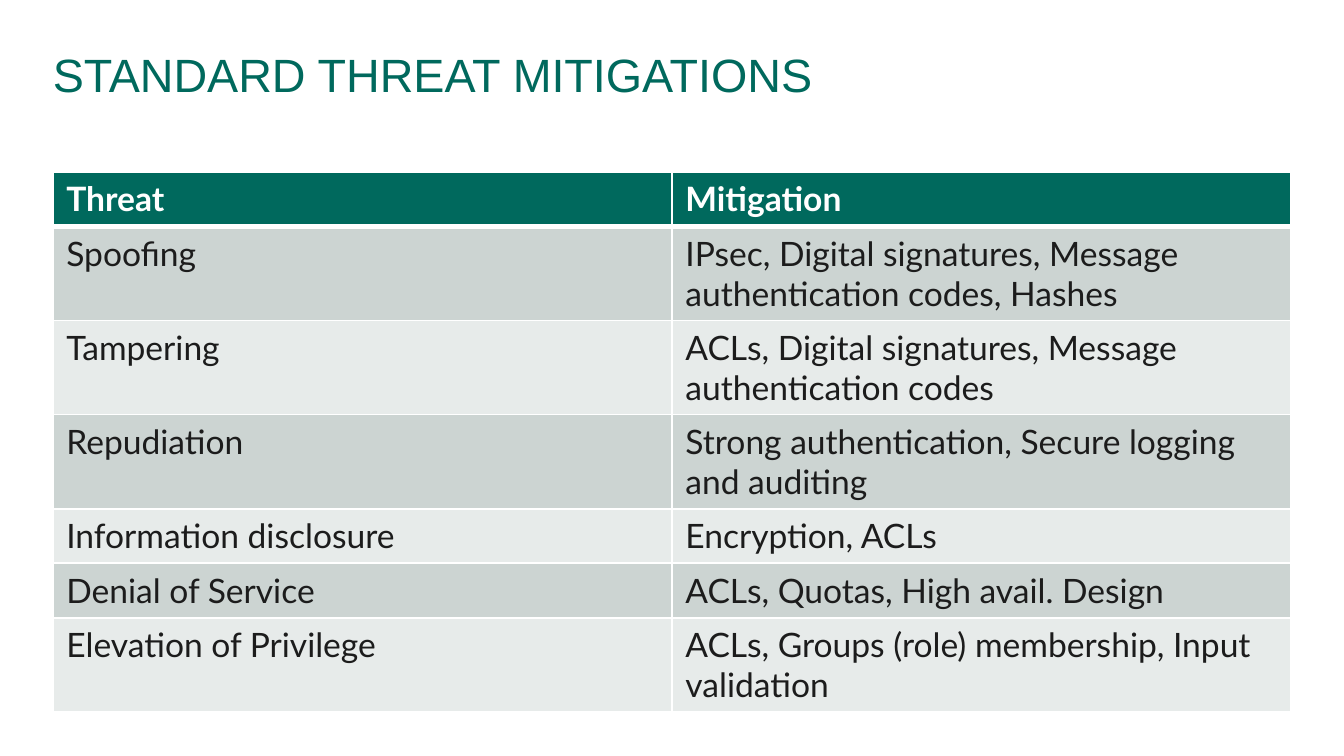
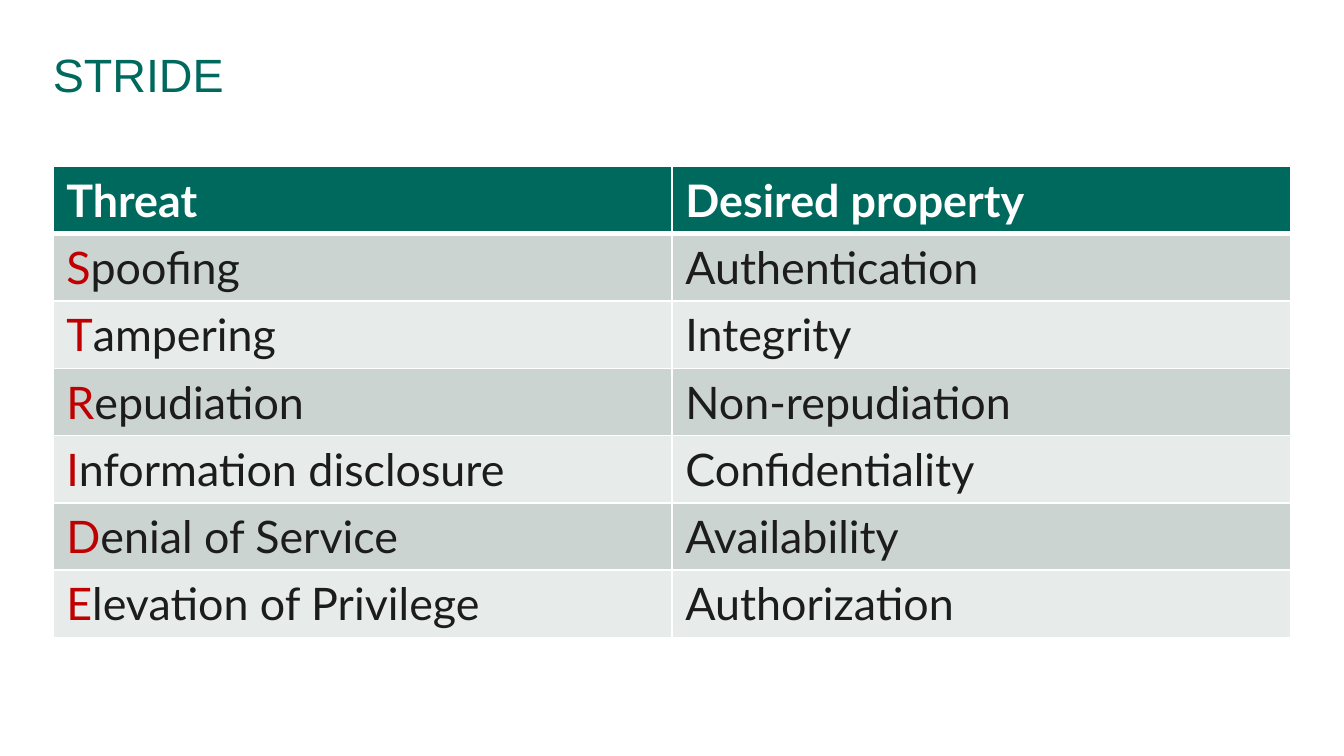
from dataclasses import dataclass

from lxml import etree
from pptx import Presentation
from pptx.dml.color import RGBColor
from pptx.enum.text import MSO_ANCHOR
from pptx.oxml.ns import qn
from pptx.slide import Slide
from pptx.table import _Cell
from pptx.text.text import _Paragraph
from pptx.util import Cm, Pt

TOP = MSO_ANCHOR.TOP

COLORS = {
    "brand": "00695D",
    "band_dark": "CCD4D2",
    "band_light": "E7EBEA",
    "ink": "1C1C1C",
    "initial": "C00000",
    "white": "FFFFFF",
}
TITLE_FONT, TABLE_FONT = "Arial", "Lato"

# Shared frame
SLIDE_WIDTH, SLIDE_HEIGHT = Cm(25.4), Cm(14.29)
MARGIN = Cm(1)
CONTENT_WIDTH = SLIDE_WIDTH - 2 * MARGIN
TITLE_TOP, TITLE_HEIGHT = Cm(0.9), Cm(1.88)
ROW_HEIGHT = Cm(1.03)
GRID_LINE, HEADER_LINE = Pt(1), Pt(3)

THREATS = [
    "Spoofing",
    "Tampering",
    "Repudiation",
    "Information disclosure",
    "Denial of Service",
    "Elevation of Privilege",
]


@dataclass(frozen=True)
class ThreatSlide:
    title: str
    answer_heading: str
    answers: list[str]
    table_top: Cm
    text_size: Pt
    mark_initials: bool = False


SLIDES = [
    ThreatSlide(
        "STANDARD THREAT MITIGATIONS",
        "Mitigation",
        [
            "IPsec, Digital signatures, Message authentication codes, Hashes",
            "ACLs, Digital signatures, Message authentication codes",
            "Strong authentication, Secure logging and auditing",
            "Encryption, ACLs",
            "ACLs, Quotas, High avail. Design",
            "ACLs, Groups (role) membership, Input validation",
        ],
        table_top=Cm(3.25),
        text_size=Pt(18),
    ),
    ThreatSlide(
        "STRIDE",
        "Desired property",
        [
            "Authentication",
            "Integrity",
            "Non-repudiation",
            "Confidentiality",
            "Availability",
            "Authorization",
        ],
        table_top=Cm(3.15),
        text_size=Pt(24),
        mark_initials=True,
    ),
]


def rgb(name: str) -> RGBColor:
    return RGBColor.from_string(COLORS[name])


def add_run(paragraph: _Paragraph, text: str, font: str, size: Pt,
            color: str, bold: bool = False) -> None:
    run = paragraph.add_run()
    run.text = text
    run.font.name = font
    run.font.size = size
    run.font.bold = bold
    run.font.color.rgb = rgb(color)


def add_title(slide: Slide, text: str) -> None:
    title = slide.shapes.add_textbox(MARGIN, TITLE_TOP, CONTENT_WIDTH, TITLE_HEIGHT)
    frame = title.text_frame
    frame.word_wrap = True
    frame.vertical_anchor = TOP
    frame.margin_left = frame.margin_right = 0
    frame.margin_top = frame.margin_bottom = 0
    paragraph = frame.paragraphs[0]
    paragraph.line_spacing = Pt(29.2)
    add_run(paragraph, text, TITLE_FONT, Pt(25), "brand")


def set_borders(cell: _Cell, top: Pt, bottom: Pt) -> None:
    """White lines on all sides; they must precede the fill in the cell XML."""
    properties = cell._tc.get_or_add_tcPr()
    sides = {"a:lnL": GRID_LINE, "a:lnR": GRID_LINE, "a:lnT": top, "a:lnB": bottom}
    for position, (tag, width) in enumerate(sides.items()):
        line = etree.Element(qn(tag), w=str(int(width)))
        fill = etree.SubElement(line, qn("a:solidFill"))
        etree.SubElement(fill, qn("a:srgbClr"), val=COLORS["white"])
        properties.insert(position, line)


def add_threat_table(slide: Slide, content: ThreatSlide) -> None:
    rows = [("Threat", content.answer_heading), *zip(THREATS, content.answers)]
    table = slide.shapes.add_table(
        len(rows), 2, MARGIN, content.table_top, CONTENT_WIDTH, ROW_HEIGHT * len(rows)
    ).table

    for row_index, texts in enumerate(rows):
        is_header = row_index == 0
        band = "band_dark" if row_index % 2 else "band_light"
        for column, text in enumerate(texts):
            cell = table.cell(row_index, column)
            cell.fill.solid()
            cell.fill.fore_color.rgb = rgb("brand" if is_header else band)
            set_borders(
                cell,
                top=HEADER_LINE if row_index == 1 else GRID_LINE,
                bottom=HEADER_LINE if is_header else GRID_LINE,
            )
            paragraph = cell.text_frame.paragraphs[0]
            if content.mark_initials and column == 0 and not is_header:
                add_run(paragraph, text[0], TABLE_FONT, content.text_size, "initial")
                text = text[1:]
            add_run(paragraph, text, TABLE_FONT, content.text_size,
                    "white" if is_header else "ink", bold=is_header)


def main() -> None:
    presentation = Presentation()
    presentation.slide_width = SLIDE_WIDTH
    presentation.slide_height = SLIDE_HEIGHT
    blank_layout = presentation.slide_layouts[6]

    for content in SLIDES:
        slide = presentation.slides.add_slide(blank_layout)
        add_title(slide, content.title)
        add_threat_table(slide, content)

    presentation.save("out.pptx")


if __name__ == "__main__":
    main()
